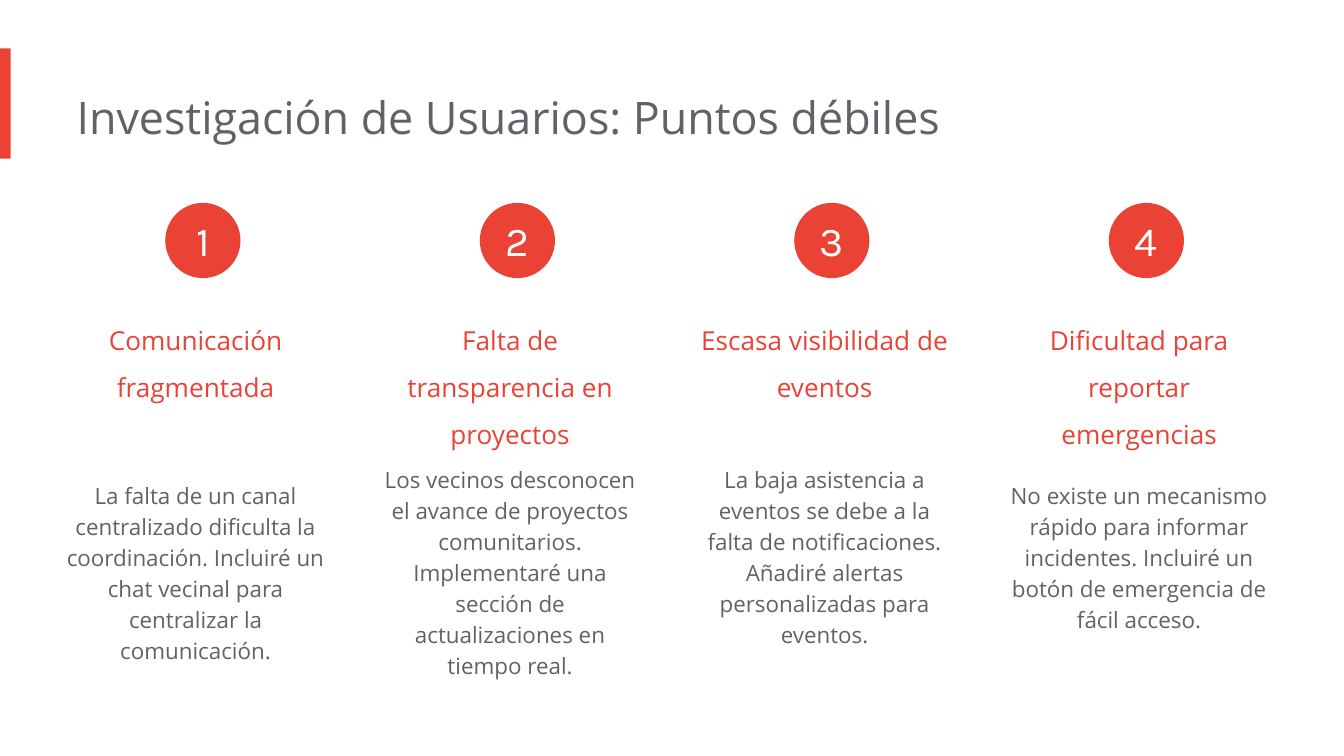
from pptx import Presentation
from pptx.dml.color import RGBColor
from pptx.enum.shapes import MSO_SHAPE
from pptx.enum.text import MSO_ANCHOR, MSO_AUTO_SIZE, PP_ALIGN
from pptx.util import Inches, Pt

RECTANGLE = MSO_SHAPE.RECTANGLE
OVAL = MSO_SHAPE.OVAL
TOP = MSO_ANCHOR.TOP
MIDDLE = MSO_ANCHOR.MIDDLE
LEFT = PP_ALIGN.LEFT
CENTER = PP_ALIGN.CENTER
NO_AUTOFIT = MSO_AUTO_SIZE.NONE

RED = RGBColor(0xEA, 0x43, 0x35)
GRAY = RGBColor(0x5F, 0x63, 0x68)
WHITE = RGBColor(0xFF, 0xFF, 0xFF)

BODY_FONT = "Open Sans"
NUMBER_FONT = "Karla"

TEXT_LEFT = 0.48
CIRCLE_LEFT = 1.23
COLUMN_STEP = 2.34
COLUMN_WIDTH = 2.05
CIRCLE_SIZE = 0.56

PAIN_POINTS = [
    ("Comunicación fragmentada", 0.79,
     "La falta de un canal centralizado dificulta la coordinación. "
     "Incluiré un chat vecinal para centralizar la comunicación.", 3.46, 1.57),
    ("Falta de transparencia en proyectos", 1.14,
     "Los vecinos desconocen el avance de proyectos comunitarios. "
     "Implementaré una sección de actualizaciones en tiempo real.", 3.34, 1.8),
    ("Escasa visibilidad de eventos", 0.79,
     "La baja asistencia a eventos se debe a la falta de notificaciones. "
     "Añadiré alertas personalizadas para eventos.", 3.34, 1.57),
    ("Dificultad para reportar emergencias", 1.14,
     "No existe un mecanismo rápido para informar incidentes. "
     "Incluiré un botón de emergencia de fácil acceso.", 3.46, 1.33),
]


def write_text(shape, text, size, color, font=BODY_FONT, align=CENTER,
               anchor=TOP, margin=0.1, spacing=1.0):
    frame = shape.text_frame
    frame.word_wrap = True
    frame.auto_size = NO_AUTOFIT
    frame.vertical_anchor = anchor
    frame.margin_left = 0
    frame.margin_top = frame.margin_right = frame.margin_bottom = Inches(margin)
    paragraph = frame.paragraphs[0]
    paragraph.text = text
    paragraph.alignment = align
    paragraph.line_spacing = spacing
    paragraph.font.size = Pt(size)
    paragraph.font.name = font
    paragraph.font.color.rgb = color


def add_title(slide, text):
    title = slide.shapes.title
    title.left, title.top = Inches(0.57), Inches(0.57)
    title.width, title.height = Inches(6.73), Inches(0.61)
    write_text(title, text, 24, GRAY, align=LEFT)


def add_red_shape(slide, kind, left, top, width, height):
    shape = slide.shapes.add_shape(
        kind, Inches(left), Inches(top), Inches(width), Inches(height))
    shape.shadow.inherit = False
    shape.fill.solid()
    shape.fill.fore_color.rgb = RED
    shape.line.fill.background()
    return shape


def add_column_text(slide, left, top, height, text, size, color, spacing):
    box = slide.shapes.add_textbox(
        Inches(left), Inches(top), Inches(COLUMN_WIDTH), Inches(height))
    write_text(box, text, size, color, spacing=spacing)


def add_pain_point(slide, index, heading, heading_height, body, body_top, body_height):
    offset = index * COLUMN_STEP
    left = TEXT_LEFT + offset
    add_column_text(slide, left, 2.2, heading_height, heading, 14, RED, 1.5)
    add_column_text(slide, left, body_top, body_height, body, 12, GRAY, 1.15)
    circle = add_red_shape(
        slide, OVAL, CIRCLE_LEFT + offset, 1.51, CIRCLE_SIZE, CIRCLE_SIZE)
    write_text(circle, str(index + 1), 22, WHITE, font=NUMBER_FONT,
               anchor=MIDDLE, margin=0)


def main():
    presentation = Presentation()
    presentation.slide_width = Inches(10)
    presentation.slide_height = Inches(10 * 9 / 16)
    slide = presentation.slides.add_slide(presentation.slide_layouts[5])
    add_red_shape(slide, RECTANGLE, 0, 0.36, 0.08, 0.82)
    add_title(slide, "Investigación de Usuarios: Puntos débiles")
    for index, pain_point in enumerate(PAIN_POINTS):
        add_pain_point(slide, index, *pain_point)
    presentation.save("out.pptx")


if __name__ == "__main__":
    main()
